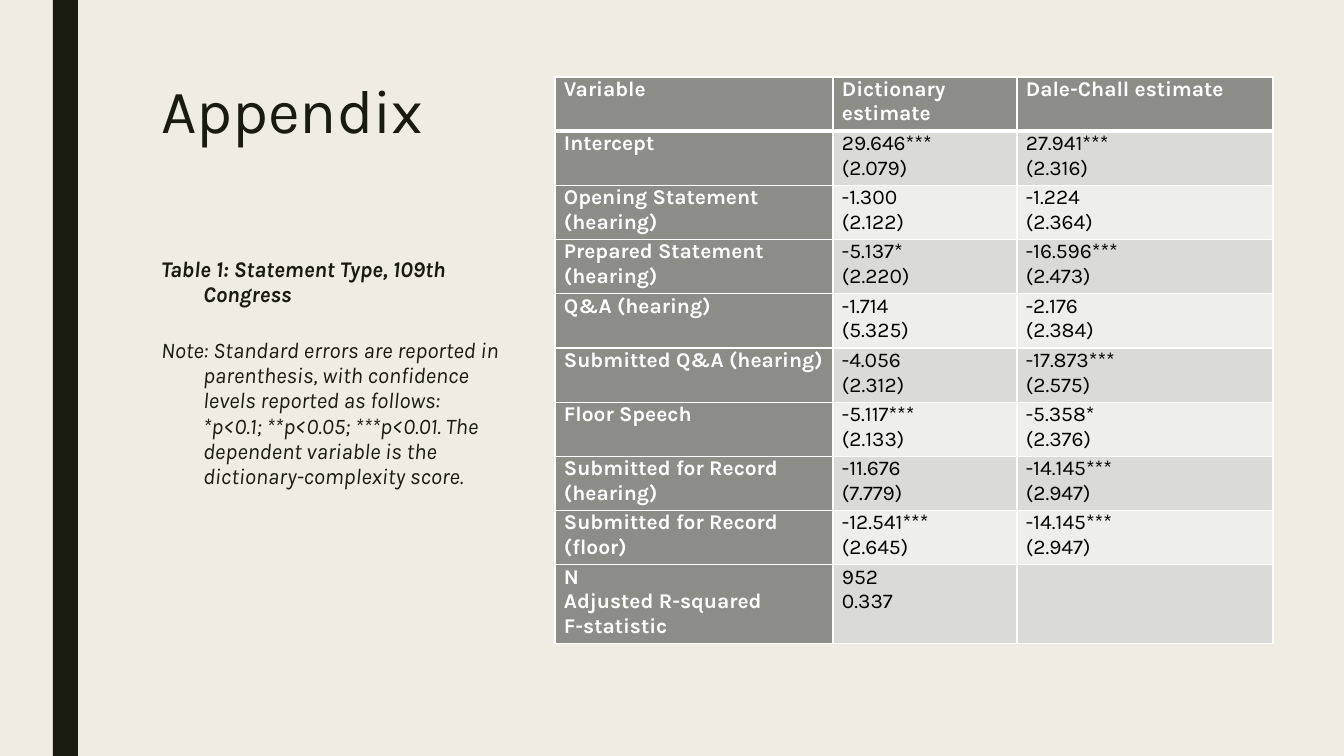
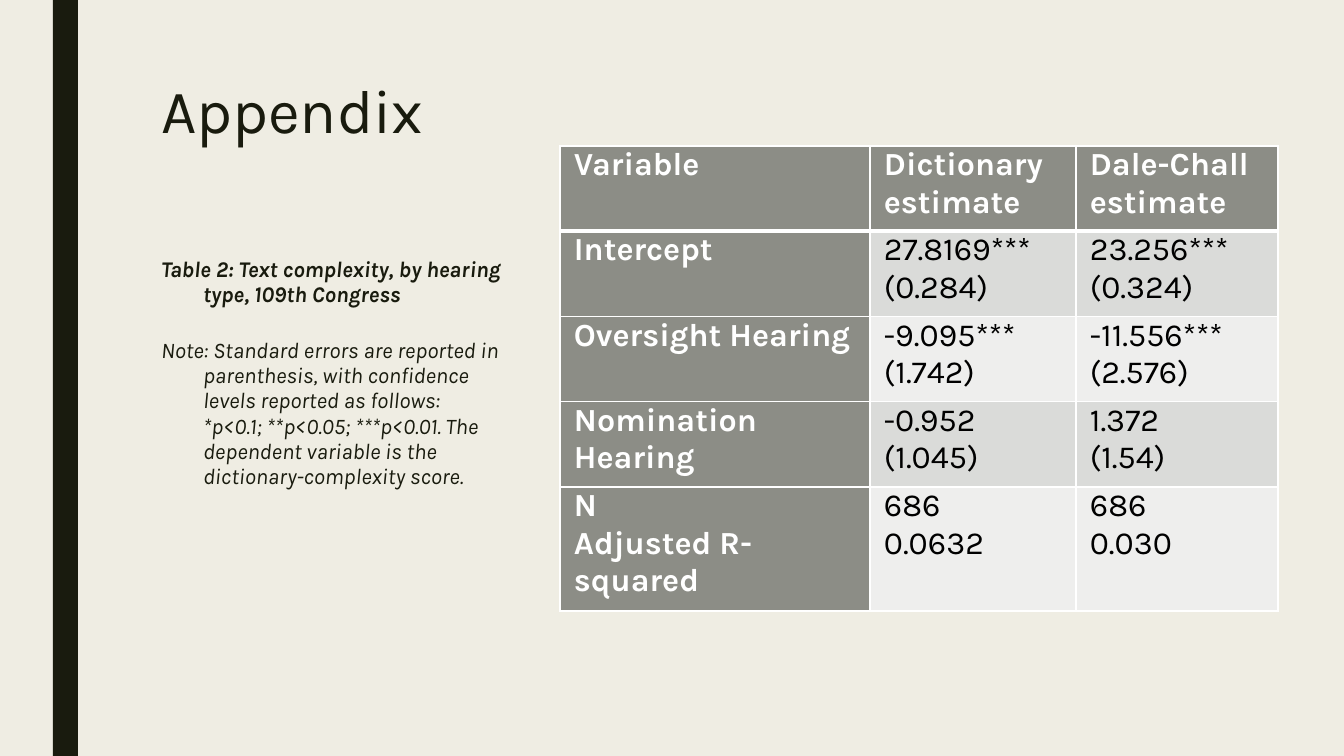
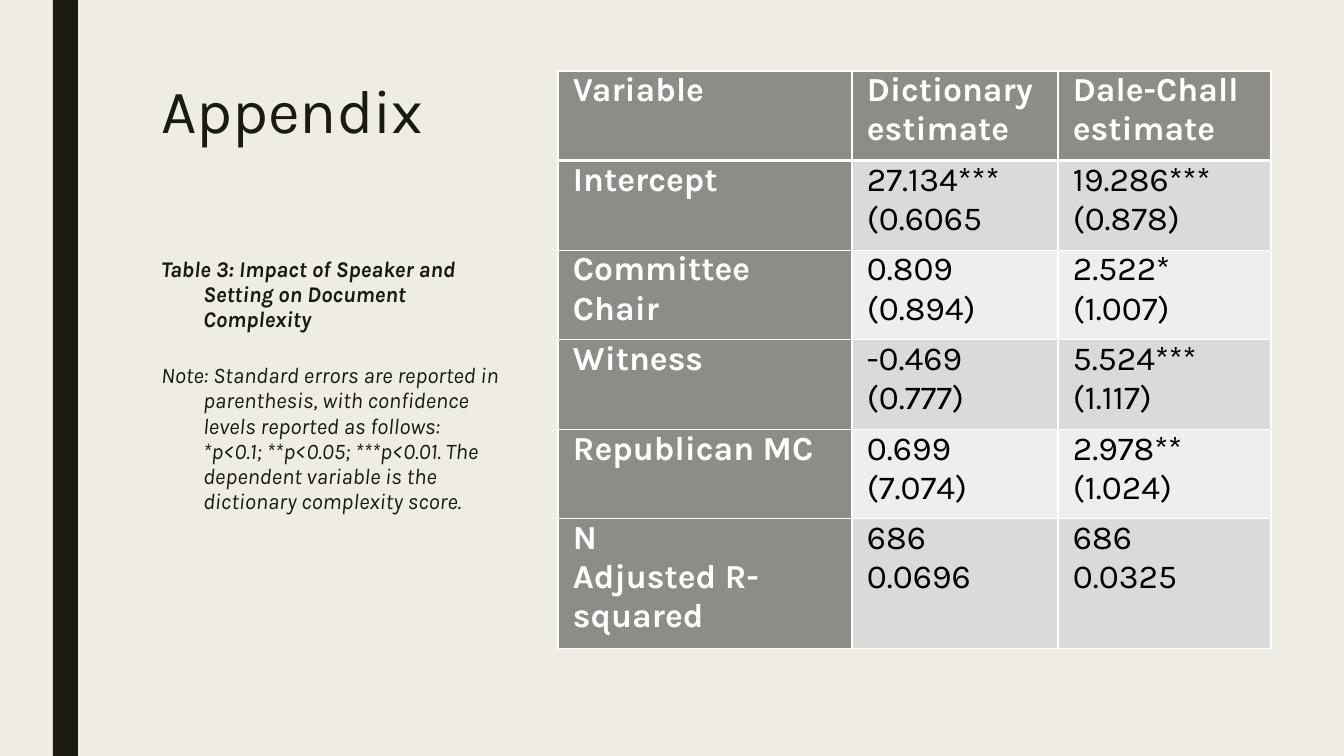
from dataclasses import dataclass

from lxml.etree import SubElement
from pptx import Presentation
from pptx.dml.color import RGBColor
from pptx.enum.shapes import MSO_SHAPE
from pptx.enum.text import MSO_ANCHOR, MSO_AUTO_SIZE, PP_ALIGN
from pptx.oxml.ns import qn
from pptx.util import Emu, Pt

FONT = "Karla"
CREAM = RGBColor(0xEF, 0xED, 0xE3)
INK = RGBColor(0x19, 0x1B, 0x0E)
BLACK = RGBColor(0x00, 0x00, 0x00)
WHITE = RGBColor(0xFF, 0xFF, 0xFF)
HEADER_GRAY = RGBColor(0x8C, 0x8D, 0x86)
BAND_DARK = RGBColor(0xDA, 0xDB, 0xD9)
BAND_LIGHT = RGBColor(0xEE, 0xEE, 0xED)

SLIDE_WIDTH, SLIDE_HEIGHT = 1344, 756
BAR_BOX = (53, 0, 25, SLIDE_HEIGHT)
TITLE_BOX = (151, 76, 362, 163)
CAPTION_BOX = (151, 252, 362, 395)
HANGING_INDENT = 42

HEADER = ("Variable", "Dictionary estimate", "Dale-Chall estimate")
NOTE = (
    "Note: Standard errors are reported in parenthesis, with confidence levels "
    "reported as follows: *p<0.1; **p<0.05; ***p<0.01. "
    "The dependent variable is the {} score."
)


@dataclass
class Estimates:
    """A regression table with its caption, position and sizes."""

    caption: str
    measure: str
    origin: tuple
    column_widths: tuple
    upper_height: int
    last_row_height: int
    margin: int
    font_size: int
    rows: tuple


STATEMENT_TYPE = Estimates(
    caption="Table 1: Statement Type, 109th Congress",
    measure="dictionary-complexity",
    origin=(555, 77),
    column_widths=(278, 184, 256),
    upper_height=488,
    last_row_height=79,
    margin=9,
    font_size=15,
    rows=(
        ("Intercept", "29.646***\n(2.079)", "27.941***\n(2.316)"),
        ("Opening Statement (hearing)", "-1.300\n(2.122)", "-1.224\n(2.364)"),
        ("Prepared Statement (hearing)", "-5.137*\n(2.220)", "-16.596***\n(2.473)"),
        ("Q&A (hearing)", "-1.714\n(5.325)", "-2.176\n(2.384)"),
        ("Submitted Q&A (hearing)", "-4.056\n(2.312)", "-17.873***\n(2.575)"),
        ("Floor Speech", "-5.117***\n(2.133)", "-5.358*\n(2.376)"),
        ("Submitted for Record (hearing)", "-11.676\n(7.779)", "-14.145***\n(2.947)"),
        ("Submitted for Record (floor)", "-12.541***\n(2.645)", "-14.145***\n(2.947)"),
        ("N\nAdjusted R-squared\nF-statistic", "952\n0.337", ""),
    ),
)

HEARING_TYPE = Estimates(
    caption="Table 2: Text complexity, by hearing type, 109th Congress",
    measure="dictionary-complexity",
    origin=(560, 146),
    column_widths=(310, 206, 202),
    upper_height=341,
    last_row_height=124,
    margin=14,
    font_size=23,
    rows=(
        ("Intercept", "27.8169***\n(0.284)", "23.256***\n(0.324)"),
        ("Oversight Hearing", "-9.095***\n(1.742)", "-11.556***\n(2.576)"),
        ("Nomination Hearing", "-0.952\n(1.045)", "1.372\n(1.54)"),
        ("N\nAdjusted R-squared", "686\n0.0632", "686\n0.030"),
    ),
)

SPEAKER_AND_SETTING = Estimates(
    caption="Table 3: Impact of Speaker and Setting on Document Complexity",
    measure="dictionary complexity",
    origin=(558, 71),
    column_widths=(294, 206, 213),
    upper_height=448,
    last_row_height=130,
    margin=15,
    font_size=24,
    rows=(
        ("Intercept", "27.134***\n(0.6065", "19.286***\n(0.878)"),
        ("Committee Chair", "0.809\n(0.894)", "2.522*\n(1.007)"),
        ("Witness", "-0.469\n(0.777)", "5.524***\n(1.117)"),
        ("Republican MC", "0.699\n(7.074)", "2.978**\n(1.024)"),
        ("N\nAdjusted R-squared", "686\n0.0696", "686\n0.0325"),
    ),
)


def px(length):
    """Convert pixels to EMU."""
    return Emu(round(length * 12192000 / SLIDE_WIDTH))


def place(shape, box):
    """Move a shape to a box of left, top, width and height."""
    shape.left, shape.top, shape.width, shape.height = map(px, box)


def style_runs(paragraph, size, color, bold=False, italic=False):
    """Format every run of a paragraph."""
    for run in paragraph.runs:
        run.font.name = FONT
        run.font.size = Pt(size)
        run.font.bold = bold
        run.font.italic = italic
        run.font.color.rgb = color


def prepare_frame(text_frame):
    """Anchor placeholder text at the top, at a fixed size."""
    text_frame.word_wrap = True
    text_frame.auto_size = MSO_AUTO_SIZE.NONE
    text_frame.vertical_anchor = MSO_ANCHOR.TOP


def add_side_bar(slide, box):
    """Add the dark vertical bar."""
    bar = slide.shapes.add_shape(MSO_SHAPE.RECTANGLE, *map(px, box))
    bar.shadow.inherit = False
    bar.fill.solid()
    bar.fill.fore_color.rgb = INK
    bar.line.fill.background()


def add_title(slide, box):
    """Fill the title placeholder."""
    title = slide.shapes.title
    place(title, box)
    prepare_frame(title.text_frame)
    title.text_frame.text = "Appendix"
    paragraph = title.text_frame.paragraphs[0]
    paragraph.alignment = PP_ALIGN.LEFT
    paragraph.line_spacing = 0.89
    style_runs(paragraph, 44, INK)


def add_caption(slide, box, estimates):
    """Fill the body placeholder with the table caption and its note."""
    body = slide.placeholders[1]
    place(body, box)
    prepare_frame(body.text_frame)
    body.text_frame.text = f"{estimates.caption}\n{NOTE.format(estimates.measure)}"
    caption, note = body.text_frame.paragraphs
    for paragraph, is_caption in ((caption, True), (note, False)):
        paragraph.alignment = PP_ALIGN.LEFT
        paragraph.line_spacing = 0.94
        paragraph.space_before = Pt(0)
        paragraph.space_after = Pt(22)
        style_runs(paragraph, 16, INK, bold=is_caption, italic=True)
    for element in body.element.iter(qn("a:p")):
        properties = element.get_or_add_pPr()
        properties.set("marL", str(px(HANGING_INDENT)))
        properties.set("indent", str(-px(HANGING_INDENT)))
        SubElement(properties, qn("a:buNone"))


def add_borders(cell_element, row):
    """Draw white cell borders, thicker under the header row."""
    properties = cell_element.get_or_add_tcPr()
    widths = {"L": 1, "R": 1, "T": 3 if row == 1 else 1, "B": 3 if row == 0 else 1}
    for side, width in widths.items():
        line = SubElement(properties, qn(f"a:ln{side}"), w=str(Pt(width)))
        fill = SubElement(line, qn("a:solidFill"))
        SubElement(fill, qn("a:srgbClr"), val=str(WHITE))


def add_estimates_table(slide, estimates):
    """Add the table of estimates with header row, header column and bands."""
    rows = (HEADER, *estimates.rows)
    widths = estimates.column_widths
    upper_count = len(estimates.rows)
    heights = [estimates.upper_height / upper_count] * upper_count
    heights.append(estimates.last_row_height)
    box = (*estimates.origin, sum(widths), sum(heights))
    frame = slide.shapes.add_table(len(rows), len(HEADER), *map(px, box))
    table = frame.table
    for column, width in zip(table.columns, widths):
        column.width = px(width)
    for table_row, height in zip(table.rows, heights):
        table_row.height = px(height)
    cells = zip(table.iter_cells(), frame.element.iter(qn("a:tc")))
    for index, (cell, cell_element) in enumerate(cells):
        row, column = divmod(index, len(HEADER))
        is_header = row == 0 or column == 0
        add_borders(cell_element, row)
        cell.fill.solid()
        band = BAND_DARK if row % 2 else BAND_LIGHT
        cell.fill.fore_color.rgb = HEADER_GRAY if is_header else band
        cell.margin_left = cell.margin_right = px(estimates.margin)
        cell.margin_top = cell.margin_bottom = px(0)
        cell.vertical_anchor = MSO_ANCHOR.TOP
        cell.text_frame.text = rows[row][column]
        color = WHITE if is_header else BLACK
        for paragraph in cell.text_frame.paragraphs:
            style_runs(paragraph, estimates.font_size, color, bold=is_header)


def add_appendix_slide(presentation, estimates):
    """Add one appendix slide with bar, title, caption and table."""
    slide = presentation.slides.add_slide(presentation.slide_layouts[1])
    add_side_bar(slide, BAR_BOX)
    add_title(slide, TITLE_BOX)
    add_caption(slide, CAPTION_BOX, estimates)
    add_estimates_table(slide, estimates)


def main():
    """Build and save the presentation."""
    presentation = Presentation()
    presentation.slide_width = px(SLIDE_WIDTH)
    presentation.slide_height = px(SLIDE_HEIGHT)
    background = presentation.slide_master.background.fill
    background.solid()
    background.fore_color.rgb = CREAM
    for estimates in (STATEMENT_TYPE, HEARING_TYPE, SPEAKER_AND_SETTING):
        add_appendix_slide(presentation, estimates)
    presentation.save("out.pptx")


if __name__ == "__main__":
    main()
